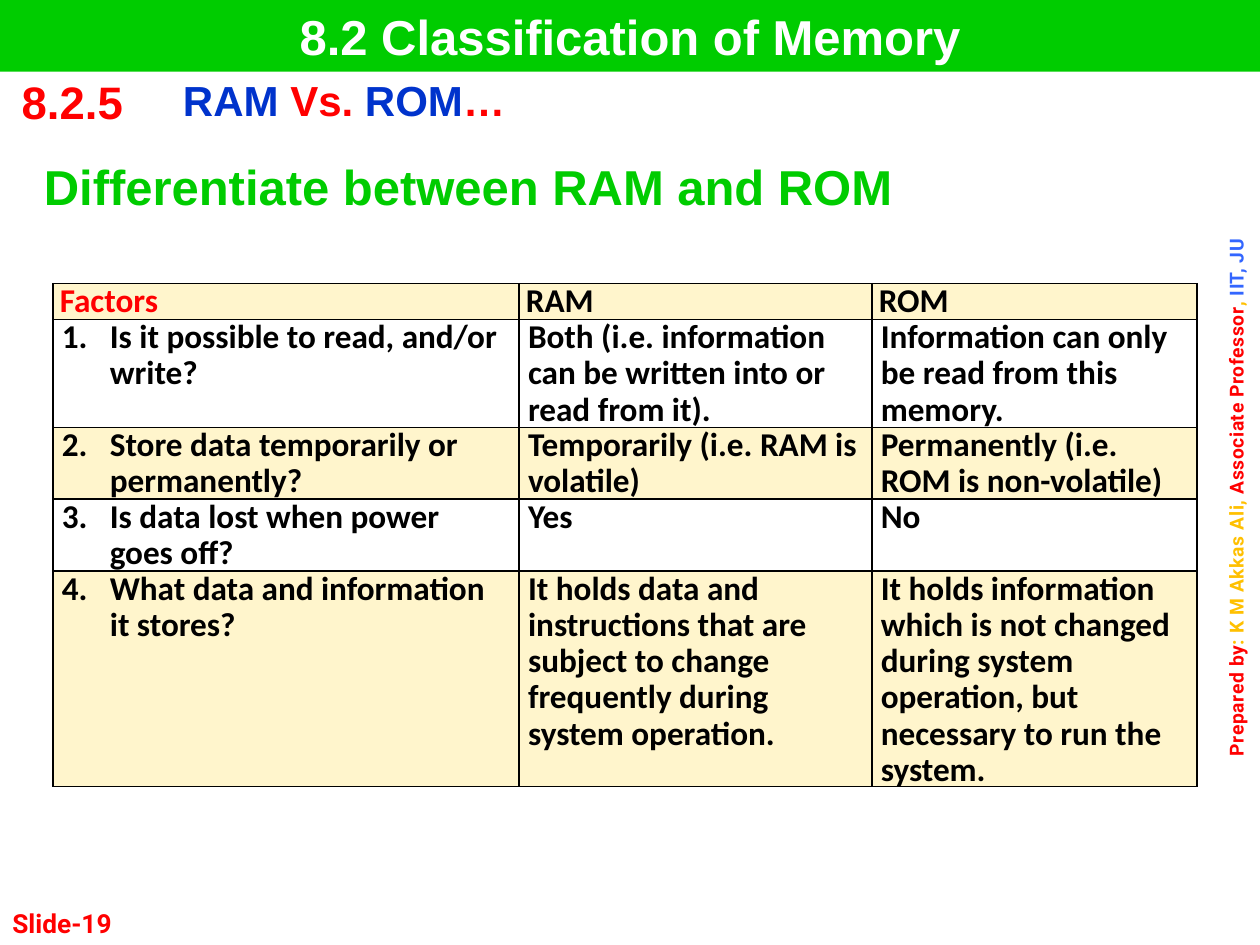
"""Build the slide that compares RAM and ROM."""
from lxml.etree import SubElement
from pptx import Presentation
from pptx.dml.color import RGBColor
from pptx.enum.shapes import MSO_SHAPE
from pptx.enum.text import MSO_ANCHOR, PP_ALIGN
from pptx.oxml.ns import qn
from pptx.util import Pt

GREEN = RGBColor(0x00, 0xCC, 0x00)
RED = RGBColor(0xFF, 0x00, 0x00)
BLUE = RGBColor(0x00, 0x33, 0xCC)
SKY = RGBColor(0x33, 0x66, 0xFF)
GOLD = RGBColor(0xFF, 0xC0, 0x00)
CREAM = RGBColor(0xFF, 0xF5, 0xCC)
WHITE = RGBColor(0xFF, 0xFF, 0xFF)
BLACK = RGBColor(0x00, 0x00, 0x00)


def write(frame, *runs, size, font="Arial", align=PP_ALIGN.LEFT,
          line=None, hang=0, track=0):
    """Fill a frame with one paragraph of (text, colour) runs."""
    frame.word_wrap = True
    para = frame.paragraphs[0]
    para.alignment = align
    if line:
        para.line_spacing = line
    if hang:
        props = para._p.get_or_add_pPr()
        props.set("marL", str(Pt(hang)))
        props.set("indent", str(Pt(-hang)))
        tabs = SubElement(props, qn("a:tabLst"))
        SubElement(tabs, qn("a:tab"), pos=str(Pt(hang)), algn="l")
    for text, color in runs:
        run = para.add_run()
        run.text = text
        run.font.name = font
        run.font.size = Pt(size)
        run.font.bold = True
        run.font.color.rgb = color
        if track:
            run._r.get_or_add_rPr().set("spc", str(track))


def grid(left, top, cols, rows):
    """Add a plain table with the given column widths and row heights."""
    frame = slide.shapes.add_table(len(rows), len(cols), Pt(left), Pt(top),
                                   Pt(sum(cols)), Pt(sum(rows)))
    table = frame.table
    table.first_row = table.horz_banding = False
    for col, width in zip(table.columns, cols):
        col.width = Pt(width)
    for row, height in zip(table.rows, rows):
        row.height = Pt(height)
    for cell in table.iter_cells():
        cell.margin_left = cell.margin_right = Pt(5.2)
        cell.margin_top = cell.margin_bottom = 0
        cell.fill.background()
    return table


deck = Presentation()
deck.slide_width, deck.slide_height = Pt(720), Pt(540)
slide = deck.slides.add_slide(deck.slide_layouts[6])
shapes = slide.shapes

credit = shapes.add_textbox(Pt(696.2), Pt(35.3), Pt(28), Pt(498.2)).text_frame
credit._txBody.bodyPr.set("vert", "vert270")
write(credit, ("Prepared by", RED), (": K M Akkas Ali, ", GOLD),
      ("Associate Professor", RED), (", ", GOLD), ("IIT, JU", SKY),
      size=11, font="Roboto", align=PP_ALIGN.CENTER, track=35)

bar = shapes.add_shape(MSO_SHAPE.RECTANGLE, 0, 0, Pt(720), Pt(41))
bar.shadow.inherit = False
bar.fill.solid()
bar.fill.fore_color.rgb = GREEN
bar.line.fill.background()
write(bar.text_frame, ("8.2 Classification of Memory", WHITE),
      size=28, align=PP_ALIGN.CENTER)

topic = grid(7.2, 44.6, [92.2, 572.4], [31])
write(topic.cell(0, 0).text_frame, ("8.2.5", RED),
      size=26, align=PP_ALIGN.JUSTIFY)
write(topic.cell(0, 1).text_frame, ("RAM ", BLUE), ("Vs.", RED),
      (" ROM", BLUE), ("…", RED), size=24, align=PP_ALIGN.JUSTIFY)

number = shapes.add_textbox(0, Pt(504), Pt(150), Pt(36)).text_frame
number.vertical_anchor = MSO_ANCHOR.BOTTOM
write(number, ("Slide-19", RED), size=15, font="Roboto")

FACTS = [
    ("Factors", "RAM", "ROM"),
    ("1.\tIs it possible to read, and/or write?",
     "Both (i.e. information can be written into or read from it).",
     "Information can only be read from this memory."),
    ("2.\tStore data temporarily or permanently?",
     "Temporarily (i.e. RAM is volatile)",
     "Permanently (i.e. ROM is non-volatile)"),
    ("3.\tIs data lost when power goes off?", "Yes", "No"),
    ("4.\tWhat data and information it stores?",
     "It holds data and instructions that are subject to change "
     "frequently during system operation.",
     "It holds information which is not changed during system "
     "operation, but necessary to run the system."),
]
facts = grid(30.2, 162, [266.4, 201.6, 185.8], [20.5, 61.5, 41, 41, 123])
for r, row in enumerate(FACTS):
    for c, text in enumerate(row):
        cell = facts.cell(r, c)
        head = r == 0
        if head:
            cell.margin_left = cell.margin_right = Pt(4)
        props = cell._tc.get_or_add_tcPr()
        for i, side in enumerate(("lnL", "lnR", "lnT", "lnB")):
            edge = SubElement(props, qn("a:" + side), w=str(Pt(1)))
            fill = SubElement(edge, qn("a:solidFill"))
            SubElement(fill, qn("a:srgbClr"), val=str(BLACK))
            props.insert(i, edge)
        if r % 2 == 0:
            cell.fill.solid()
            cell.fill.fore_color.rgb = CREAM
        write(cell.text_frame, (text, RED if head and c == 0 else BLACK),
              size=19, font="Calibri", line=0.9,
              align=PP_ALIGN.JUSTIFY if head else PP_ALIGN.LEFT,
              hang=27.4 if c == 0 and not head else 0)

title = shapes.add_textbox(Pt(18), Pt(90), Pt(678), Pt(48)).text_frame
write(title, ("Differentiate between RAM and ROM", GREEN),
      size=28, align=PP_ALIGN.JUSTIFY, line=0.88)

deck.save("out.pptx")
